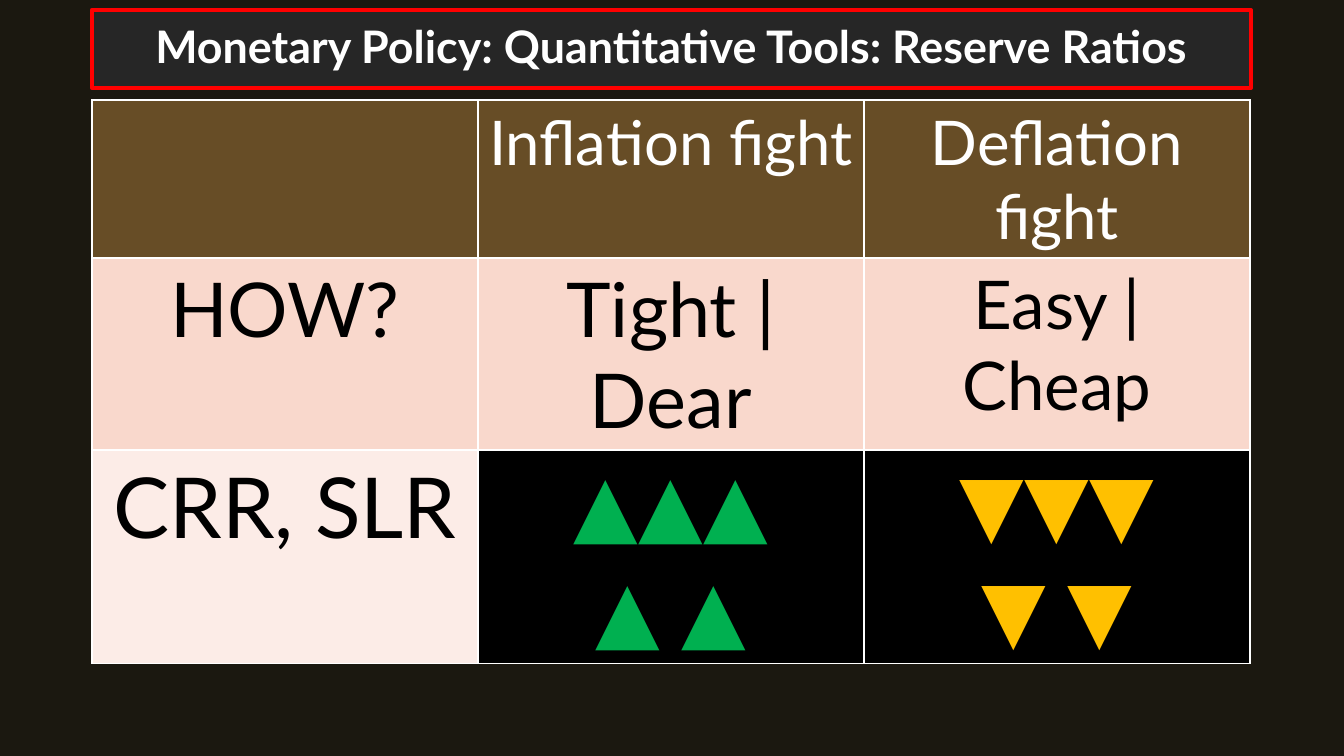
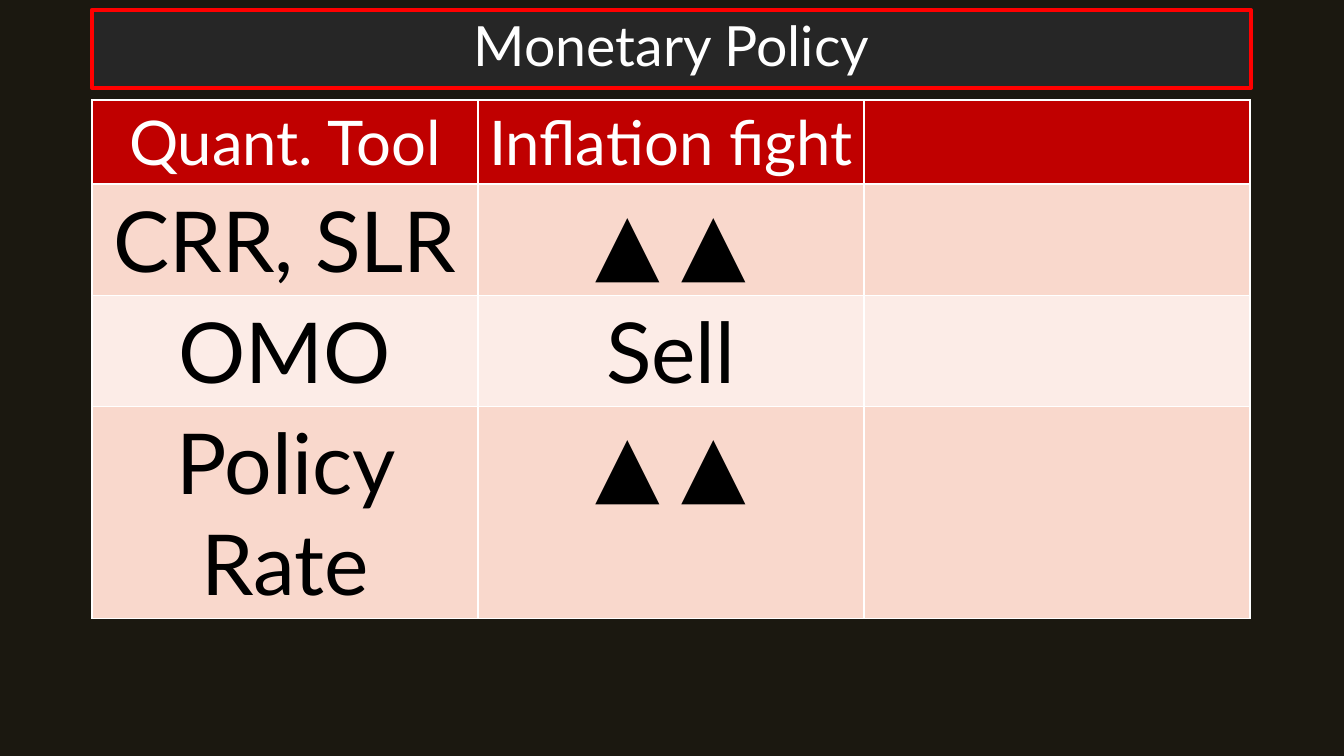
"""Build two monetary policy slides, each a title band above a table."""
from dataclasses import dataclass
from typing import Optional

from lxml.etree import SubElement
from pptx import Presentation
from pptx.dml.color import RGBColor
from pptx.enum.text import MSO_ANCHOR as Anchor, MSO_AUTO_SIZE as AutoSize, PP_ALIGN as Align
from pptx.oxml.ns import qn
from pptx.util import Emu, Pt

PX = 914400 / 100.8
TITLE_ONLY = 5
WHITE, BLACK = "FFFFFF", "000000"
BROWN, RED = "674D26", "C00000"
ROSE, BLUSH = "F9D8CC", "FCECE7"
GREEN, AMBER = "00B050", "FFC000"


def px(length):
    return Emu(round(length * PX))


def colour(value):
    return RGBColor.from_string(value)


def paint(fill, value):
    fill.solid()
    fill.fore_color.rgb = colour(value)


@dataclass
class Entry:
    text: str = ""
    size: int = 60
    ink: str = BLACK
    fill: Optional[str] = None
    fonts: tuple = ("Lato",)


@dataclass
class Row:
    height: int
    fill: str
    entries: list


class Deck:
    font = "Lato"
    left, column_width = 92, 386
    title_top, title_width, title_height = 10, 1159, 78
    table_top = 100

    def __init__(self):
        self.deck = Presentation()
        self.deck.slide_width, self.deck.slide_height = px(1344), px(756)
        paint(self.deck.slide_master.background.fill, "1B1810")
        self.page = None

    def add_page(self, title, size, bold=False):
        self.page = self.deck.slides.add_slide(self.deck.slide_layouts[TITLE_ONLY])
        box = self.page.shapes.title
        box.left, box.top = px(self.left), px(self.title_top)
        box.width, box.height = px(self.title_width), px(self.title_height)
        outline = SubElement(box.element.spPr, qn("a:prstGeom"), prst="roundRect")
        guides = SubElement(outline, qn("a:avLst"))
        SubElement(guides, qn("a:gd"), name="adj", fmla="val 0")
        paint(box.fill, "262626")
        box.line.color.rgb = colour("FF0000")
        box.line.width = Pt(3)
        frame = box.text_frame
        frame.text = title
        frame.word_wrap = True
        frame.auto_size = AutoSize.NONE
        frame.vertical_anchor = Anchor.MIDDLE
        frame.paragraphs[0].line_spacing = 0.9
        self.style(frame.paragraphs[0], size, WHITE, self.font, bold)

    def style(self, para, size, ink, font, bold=False):
        para.alignment = Align.CENTER
        for span in para.runs:
            span.font.size = Pt(size)
            span.font.name = font
            span.font.bold = bold
            span.font.color.rgb = colour(ink)

    def add_borders(self, cell):
        properties = cell._tc.get_or_add_tcPr()
        for position, side in enumerate(("lnL", "lnR", "lnT", "lnB")):
            line = SubElement(properties, qn(f"a:{side}"), w=str(Pt(1)))
            solid = SubElement(line, qn("a:solidFill"))
            SubElement(solid, qn("a:srgbClr"), val=WHITE)
            properties.insert(position, line)

    def fill_cell(self, cell, entry, row_fill):
        paint(cell.fill, entry.fill or row_fill)
        self.add_borders(cell)
        if entry.text:
            cell.text_frame.text = entry.text
            for para, font in zip(cell.text_frame.paragraphs, entry.fonts):
                self.style(para, entry.size, entry.ink, font)

    def add_table(self, rows):
        columns = len(rows[0].entries)
        table = self.page.shapes.add_table(
            len(rows), columns, px(self.left), px(self.table_top),
            px(columns * self.column_width), px(sum(row.height for row in rows))).table
        table.horz_banding = False
        for column in table.columns:
            column.width = px(self.column_width)
        for number, row in enumerate(rows):
            table.rows[number].height = px(row.height)
            for place, entry in enumerate(row.entries):
                self.fill_cell(table.cell(number, place), entry, row.fill)


def heading(text):
    return Entry(text, 44, WHITE)


def symbols(text, ink):
    return Entry(text, 60, ink, BLACK, ("Calibri", "Lato"))


def main():
    deck = Deck()
    deck.add_page("Monetary Policy: Quantitative Tools: Reserve Ratios", 32, bold=True)
    deck.add_table([
        Row(158, BROWN, [Entry(), heading("Inflation fight"), heading("Deflation fight")]),
        Row(192, ROSE, [Entry("HOW?", 54), Entry("Tight | Dear", 54), Entry("Easy | Cheap", 48)]),
        Row(213, BLUSH, [Entry("CRR, SLR"), symbols("▲▲▲\n▲ ▲", GREEN), symbols("▼▼▼\n▼ ▼", AMBER)]),
    ])
    deck.add_page("Monetary Policy", 39.6)
    deck.add_table([
        Row(84, RED, [heading("Quant. Tool"), heading("Inflation fight"), Entry()]),
        Row(111, ROSE, [Entry("CRR, SLR"), Entry("▲ ▲"), Entry()]),
        Row(111, BLUSH, [Entry("OMO"), Entry("Sell"), Entry()]),
        Row(212, ROSE, [Entry("Policy Rate"), Entry("▲ ▲"), Entry()]),
    ])
    deck.deck.save("out.pptx")


if __name__ == "__main__":
    main()
